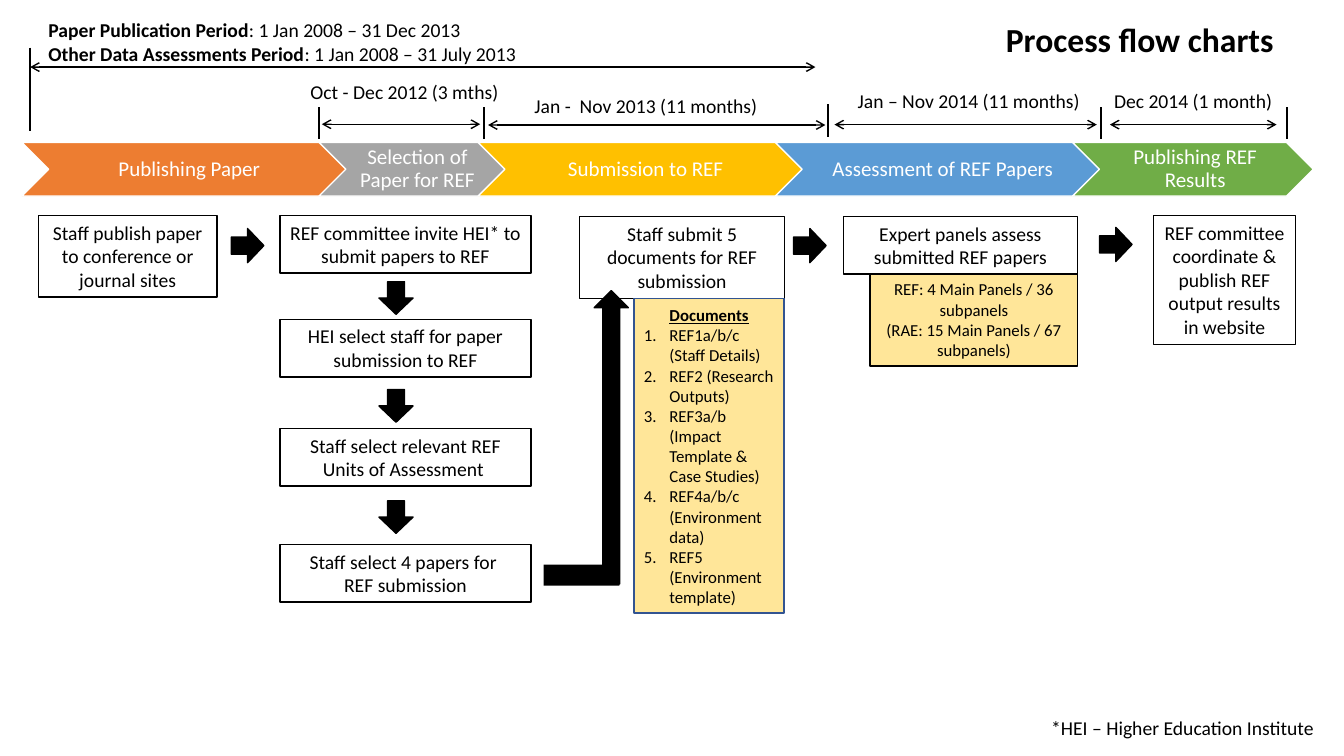
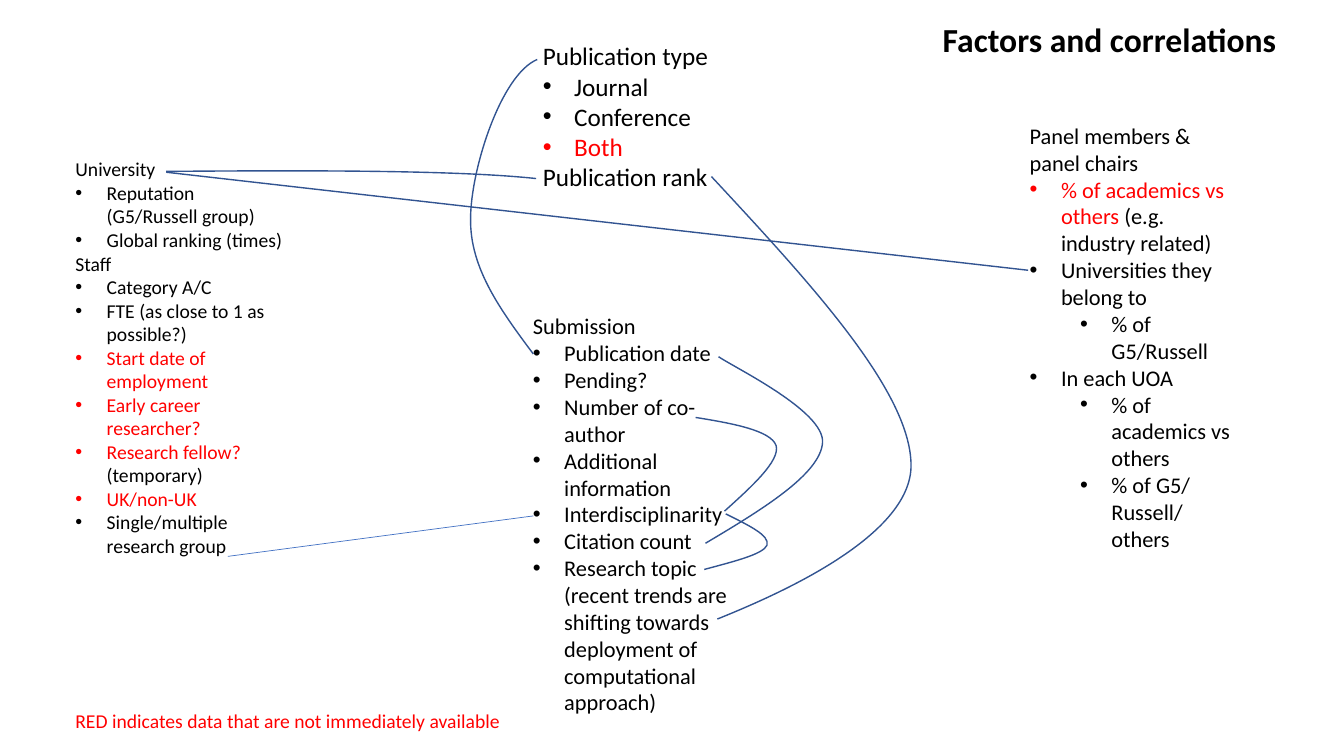
"""Build two slides: a process flow chart and a map of linked factors."""
from itertools import chain

from lxml.etree import SubElement
from pptx import Presentation
from pptx.dml.color import RGBColor
from pptx.enum.shapes import MSO_CONNECTOR as Link, MSO_SHAPE as Shape
from pptx.enum.text import MSO_ANCHOR as Anchor, PP_ALIGN as Align
from pptx.oxml.ns import qn
from pptx.util import Cm, Pt

BLACK = RGBColor(0x00, 0x00, 0x00)
WHITE = RGBColor(0xFF, 0xFF, 0xFF)
RED = RGBColor(0xFF, 0x00, 0x00)
ORANGE = RGBColor(0xED, 0x7D, 0x31)
GREY = RGBColor(0xA5, 0xA5, 0xA5)
GOLD = RGBColor(0xFF, 0xC0, 0x00)
SKY = RGBColor(0x5B, 0x9B, 0xD5)
GREEN = RGBColor(0x70, 0xAD, 0x47)
CREAM = RGBColor(0xFF, 0xE6, 0x99)
NAVY = RGBColor(0x32, 0x54, 0x91)
BLUE = RGBColor(0x44, 0x72, 0xC4)
FONT = "Calibri"

PHASES = [
    ("Publishing Paper", ORANGE, 8.33),
    ("Selection of Paper for REF", GREY, 4.85),
    ("Submission to REF", GOLD, 8.33),
    ("Assessment of REF Papers", SKY, 8.33),
    ("Publishing REF Results", GREEN, 6.07),
]
BAND_X, BAND_Y, BAND_H, LAP = 0.55, 3.59, 1.35, 0.84

PERIODS = [
    [("Paper Publication Period", "b"), (": 1 Jan 2008 – 31 Dec 2013", "")],
    [("Other Data Assessments Period", "b"), (": 1 Jan 2008 – 31 July 2013", "")],
]
DATES = [
    ("Oct - Dec 2012 (3 mths)", 7.49, 1.88, 5.41),
    ("Jan -  Nov 2013 (11 months)", 11.63, 2.24, 9.3),
    ("Jan – Nov 2014 (11 months)", 21.28, 2.12, 6.27),
    ("Dec 2014 (1 month)", 27.71, 2.12, 4.72),
]
TICKS = [
    (0.76, 1.2, 3.3), (8.05, 2.7, 3.49), (12.19, 2.7, 3.49),
    (20.86, 2.63, 3.44), (27.74, 2.7, 3.49), (32.44, 2.7, 3.49),
]
SPANS = [
    (0.76, 20.55, 1.69), (8.11, 12.1, 3.13), (12.3, 20.8, 3.15),
    (21.03, 27.64, 3.14), (27.97, 32.17, 3.14),
]
STEPS = [
    (["Staff publish paper to conference or journal sites"], 0.97, 5.43, 4.5, 2.06),
    (["REF committee invite HEI* to submit papers to REF"], 7.06, 5.43, 6.32, 1.45),
    (["HEI select staff for paper submission to REF"], 7.06, 8.05, 6.32, 1.45),
    (["Staff select relevant REF Units of Assessment "], 7.06, 10.8, 6.32, 1.45),
    (["Staff select 4 papers for ", "REF submission"], 7.06, 13.72, 6.32, 1.45),
    (["Staff submit 5 documents for REF submission"], 14.61, 5.46, 5.16, 2.06),
    (["Expert panels assess submitted REF papers"], 21.26, 5.46, 5.89, 1.45),
    (["REF committee coordinate & publish REF output results in website"],
     29.07, 5.43, 3.58, 3.25),
]
ARROWS = [
    (5.83, 5.76, 0.82, 0), (20, 5.76, 0.82, 0), (27.71, 5.73, 0.82, 0),
    (9.57, 7.08, 0.82, 90), (9.57, 9.8, 0.82, 90), (9.57, 12.6, 0.82, 90),
    (11.71, 10.59, 7.39, 270),
]
PANELS = ["REF: 4 Main Panels / 36 subpanels", "(RAE: 15 Main Panels / 67 subpanels)"]
DOCS = [
    [("Documents", "bu")],
    "1. REF1a/b/c (Staff Details)",
    "1. REF2 (Research Outputs)",
    "1. REF3a/b (Impact Template & Case Studies)",
    "1. REF4a/b/c (Environment data)",
    "1. REF5 (Environment template)",
]

FACTORS = [
    (1.65, 3.84, 11.79, 14, [
        "University",
        "• Reputation (G5/Russell group)",
        "• Global ranking (times)",
        "Staff",
        "• Category A/C",
        "• FTE (as close to 1 as possible?)",
        [("• Start date of employment", "r")],
        [("• Early career researcher?", "r")],
        [("• Research fellow? ", "r"), ("(temporary)", "")],
        [("• UK/non-UK", "r")],
        "• Single/multiple research group",
    ]),
    (13.43, 0.9, 4.88, 18, [
        "Publication type",
        "• Journal",
        "• Conference",
        [("• Both", "r")],
        "Publication rank",
    ]),
    (13.18, 7.75, 11.02, 16, [
        "Submission",
        "• Publication date",
        "• Pending?",
        "• Number of co-author",
        "• Additional information",
        "• Interdisciplinarity",
        "• Citation count",
        "• Research topic (recent trends are shifting towards deployment of "
        "computational approach)",
    ]),
    (25.7, 2.95, 11.96, 16, [
        "Panel members & panel chairs",
        [("• % of academics vs others", "r"), (" (e.g. industry related)", "")],
        "• Universities they belong to",
        "•• % of G5/Russell",
        "• In each UOA",
        "•• % of academics vs others",
        "•• % of G5/ Russell/ others",
    ]),
]
CURVES = [
    [(17.78, 13.69), (19.23, 12.83), (20.68, 11.94), (20.73, 11.15),
     (20.78, 10.36), (18.52, 9.27), (18.11, 8.99)],
    [(13.44, 8.92), (12.62, 7.82), (11.84, 6.76), (11.86, 5.51),
     (11.86, 4.29), (12.62, 1.88), (13.54, 1.5)],
    [(4.19, 4.32), (7.87, 4.29), (11.56, 4.29), (13.51, 4.5)],
    [(17.93, 4.45), (20.45, 7.16), (22.94, 9.86), (22.96, 11.71),
     (22.99, 13.56), (19.41, 15.06), (18.08, 15.6)],
    [(18.29, 12.95), (18.85, 13.23), (19.41, 13.49), (19.33, 13.74),
     (19.23, 13.97), (18.49, 14.15), (17.75, 14.35)],
    [(17.53, 10.52), (18.47, 10.67), (19.43, 10.85), (19.56, 11.23),
     (19.66, 11.61), (18.97, 12.24), (18.26, 12.88)],
]
LINKS = [
    ((25.91, 6.81), (4.19, 4.34), NAVY, 1),
    ((5.74, 14.02), (13.44, 13), BLUE, 0.5),
]
MARKS = {"1.": (0.64, 0.64, 0), "•": (0.79, 0.79, 0), "••": (2.06, 0.79, 1)}


def set_mark(para, mark):
    left, hang, para.level = MARKS[mark]
    props = para._p.get_or_add_pPr()
    props.set("marL", str(Cm(left)))
    props.set("indent", str(-Cm(hang)))
    if mark == "1.":
        SubElement(props, qn("a:buAutoNum"), type="arabicPeriod")
    else:
        SubElement(props, qn("a:buFont"), typeface="Arial")
        SubElement(props, qn("a:buChar"), char="•")


def write(shape, paras, size=14, align=Align.LEFT, color=BLACK,
          anchor=Anchor.TOP, wrap=True):
    frame = shape.text_frame
    frame.word_wrap = wrap
    frame.vertical_anchor = anchor
    for i, runs in enumerate(paras):
        para = frame.paragraphs[0] if i == 0 else frame.add_paragraph()
        runs = [(runs, "")] if isinstance(runs, str) else list(runs)
        para.alignment = align
        mark, _, rest = runs[0][0].partition(" ")
        if mark in MARKS:
            set_mark(para, mark)
            para.alignment = Align.LEFT
            runs[0] = (rest, runs[0][1])
        for text, style in runs:
            run = para.add_run()
            run.text = text
            font = run.font
            font.name, font.size = FONT, Pt(size)
            font.bold, font.underline = "b" in style, "u" in style
            font.color.rgb = RED if "r" in style else color
    return frame


def add_text(slide, paras, x, y, w, h, **look):
    box = slide.shapes.add_textbox(Cm(x), Cm(y), Cm(w), Cm(h))
    return write(box, paras, **look)


def add_form(slide, kind, x, y, w, h, fill, line=BLACK):
    form = slide.shapes.add_shape(kind, Cm(x), Cm(y), Cm(w), Cm(h))
    form.shadow.inherit = False
    form.fill.solid()
    form.fill.fore_color.rgb = fill
    form.line.color.rgb = line
    form.line.width = Pt(1)
    return form


def add_line(slide, start, end, color=BLACK, width=1.0, heads=False):
    line = slide.shapes.add_connector(Link.STRAIGHT, *map(Cm, chain(start, end)))
    line.line.color.rgb = color
    line.line.width = Pt(width)
    props = line._element.spPr
    if heads:
        for tag in ("a:headEnd", "a:tailEnd"):
            SubElement(props.find(qn("a:ln")), qn(tag), type="arrow")
    SubElement(props, qn("a:effectLst"))


def add_curve(slide, knots):
    ends = [(Cm(x), Cm(y)) for x, y in knots[::3]]
    pen = slide.shapes.build_freeform(*ends[0])
    pen.add_line_segments(ends[1:], close=False)
    curve = pen.convert_to_shape()
    curve.shadow.inherit = False
    curve.fill.background()
    curve.line.color.rgb = NAVY
    curve.line.width = Pt(1)
    for i, part in enumerate(list(curve._element.iter(qn("a:lnTo")))):
        bend = SubElement(part.getparent(), qn("a:cubicBezTo"))
        for x, y in knots[3 * i + 1:3 * i + 4]:
            SubElement(bend, qn("a:pt"), x=str(Cm(x) - curve.left),
                       y=str(Cm(y) - curve.top))
        part.getparent().replace(part, bend)


def add_slide(deck, title, x, w, align):
    slide = deck.slides.add_slide(deck.slide_layouts[6])
    add_text(slide, [[(title, "b")]], x, 0.36, w, 1.27, size=24, align=align, wrap=False)
    return slide


def add_phases(slide):
    x = BAND_X
    for name, color, w in PHASES:
        form = add_form(slide, Shape.CHEVRON, x, BAND_Y, w, BAND_H, color, WHITE)
        frame = write(form, [name], 15, Align.CENTER, WHITE, Anchor.MIDDLE)
        frame.margin_left = Cm(0.17)
        frame.margin_top = frame.margin_right = frame.margin_bottom = Cm(0.06)
        frame.paragraphs[0].line_spacing = 0.9
        x += w - LAP


def draw_flow(deck):
    slide = add_slide(deck, "Process flow charts", 25.1, 7.34, Align.LEFT)
    add_phases(slide)
    add_text(slide, PERIODS, 0.97, 0.33, 14.68, 1.45)
    for text, x, y, w in DATES:
        add_text(slide, [text], x, y, w, 0.86, align=Align.CENTER)
    for x, top, foot in TICKS:
        add_line(slide, (x, top), (x, foot), width=1.5)
    for x, end, y in SPANS:
        add_line(slide, (x, y), (end, y), heads=True)
    for paras, *place in STEPS:
        step = add_form(slide, Shape.RECTANGLE, *place, WHITE)
        write(step, paras, align=Align.CENTER)
    for x, y, w, turn in ARROWS:
        add_form(slide, Shape.RIGHT_ARROW, x, y, w, 0.86, BLACK).rotation = turn
    bar = add_form(slide, Shape.RECTANGLE, 13.7, 14.23, 1.91, 0.53, BLACK)
    bar.line.fill.background()
    docs = add_form(slide, Shape.RECTANGLE, 15.98, 7.53, 3.78, 7.92, CREAM, NAVY)
    write(docs, DOCS, 12, Align.CENTER, anchor=Anchor.MIDDLE)
    panels = add_form(slide, Shape.RECTANGLE, 21.93, 6.91, 5.23, 2.31, CREAM)
    write(panels, PANELS, 12, Align.CENTER)
    add_text(slide, ["*HEI – Higher Education Institute"], 26.24, 17.91, 7.21, 0.86,
             wrap=False)


def draw_map(deck):
    slide = add_slide(deck, "Factors and correlations", 23.42, 8.99, Align.RIGHT)
    for x, y, h, size, paras in FACTORS:
        add_text(slide, paras, x, y, 5.72, h, size=size)
    for link in LINKS:
        add_line(slide, *link)
    for knots in CURVES:
        add_curve(slide, knots)
    add_text(slide, [[("RED indicates data that are not immediately available", "r")]],
             1.65, 17.73, 11.33, 0.86, wrap=False)


def main():
    deck = Presentation()
    deck.slide_width, deck.slide_height = Cm(33.87), Cm(19.05)
    draw_flow(deck)
    draw_map(deck)
    deck.save("out.pptx")


if __name__ == "__main__":
    main()
